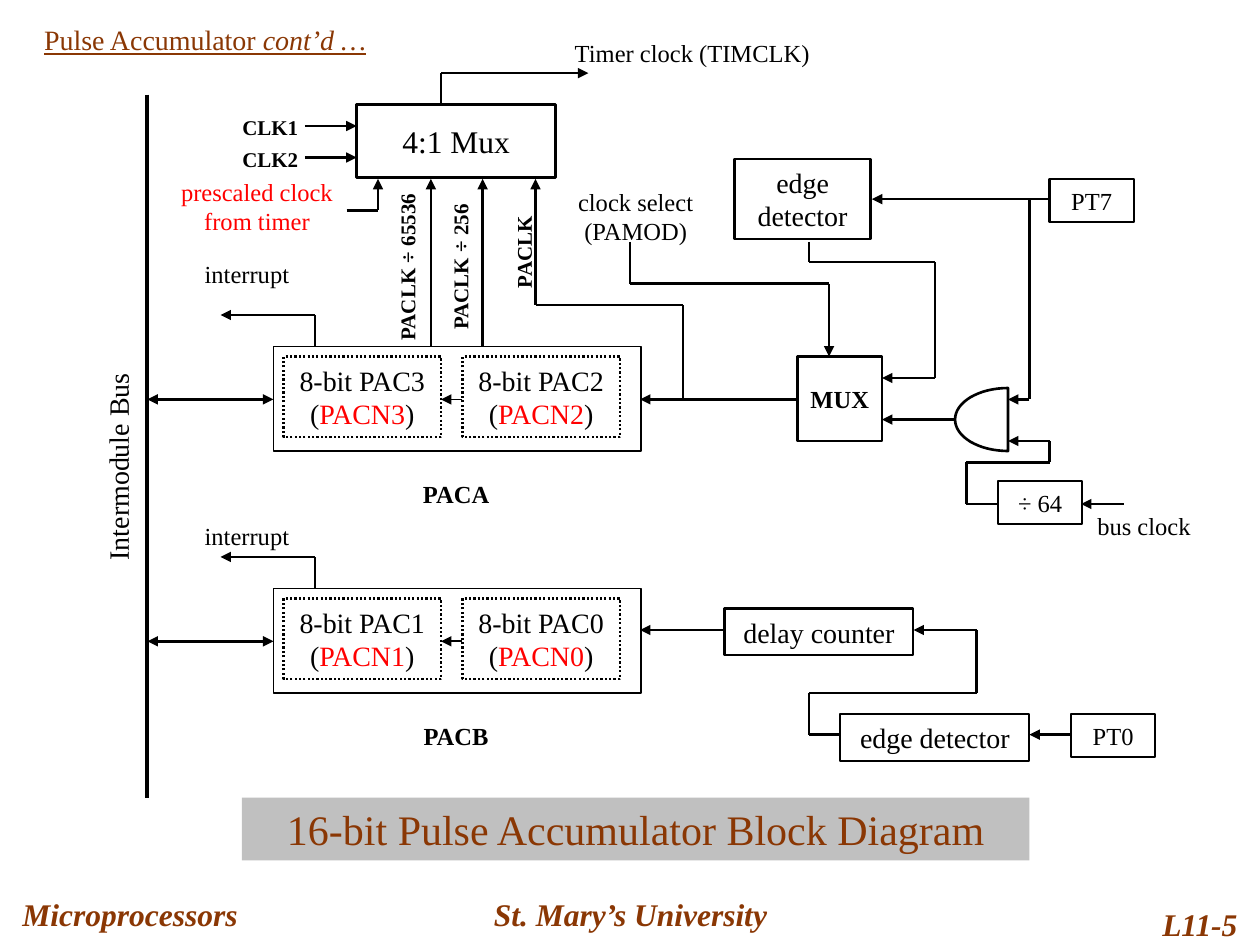
import math

import pptx
import pptx.dml.color
import pptx.enum.dml
import pptx.enum.shapes
import pptx.enum.text
import pptx.oxml.ns
import pptx.util
from lxml import etree
from pptx.util import Inches

COLORS = {"ink": "000000", "brown": "8A3704", "red": "FF0000", "grey": "C0C0C0"}
FONT = "Times New Roman"
ALIGN = pptx.enum.text.PP_ALIGN


def rgb(name):
    return pptx.dml.color.RGBColor.from_string(COLORS[name])


def write(shape, runs, size, color="ink", bold=None, italic=None,
          align=ALIGN.CENTER, wrap=True):
    """Fill a shape with one paragraph; runs is a string or (text, color) pairs."""
    frame = shape.text_frame
    frame.word_wrap = wrap
    frame.auto_size = pptx.enum.text.MSO_AUTO_SIZE.NONE
    frame.vertical_anchor = pptx.enum.text.MSO_ANCHOR.MIDDLE
    paragraph = frame.paragraphs[0]
    paragraph.alignment = align
    font = paragraph.font
    font.name, font.size = FONT, pptx.util.Pt(size)
    font.bold, font.italic = bold, italic
    font.color.rgb = rgb(color)
    if isinstance(runs, str):
        runs = [(runs, color)]
    for text, run_color in runs:
        run = paragraph.add_run()
        run.text = text
        if run_color != color:
            run.font.color.rgb = rgb(run_color)
    return paragraph


def add_label(slide, box, text, size=14, rotation=0, **style):
    shape = slide.shapes.add_textbox(*map(Inches, box))
    shape.rotation = rotation
    write(shape, text, size, **style)


def outline(shape, weight):
    shape.shadow.inherit = False
    shape.fill.background()
    shape.line.color.rgb = rgb("ink")
    shape.line.width = pptx.util.Pt(weight)


def add_block(slide, box, text="", size=14, weight=1.25, dotted=False, **style):
    shape = slide.shapes.add_shape(
        pptx.enum.shapes.MSO_SHAPE.RECTANGLE, *map(Inches, box))
    outline(shape, weight)
    if dotted:
        shape.line.dash_style = pptx.enum.dml.MSO_LINE.ROUND_DOT
    if text:
        write(shape, text, size, **style)
    return shape


def add_wire(slide, points, arrows="end", weight=1.5):
    """Draw a bent wire; arrows is "end", "both" or "none"."""
    last = len(points) - 2
    for index, (start, end) in enumerate(zip(points, points[1:])):
        line = slide.shapes.add_connector(
            pptx.enum.shapes.MSO_CONNECTOR.STRAIGHT, *map(Inches, start + end))
        line.line.color.rgb = rgb("ink")
        line.line.width = pptx.util.Pt(weight)
        line_xml = line.line._get_or_add_ln()
        if arrows == "both" and index == 0:
            etree.SubElement(line_xml, pptx.oxml.ns.qn("a:headEnd"), type="triangle")
        if arrows != "none" and index == last:
            etree.SubElement(line_xml, pptx.oxml.ns.qn("a:tailEnd"), type="triangle")
        etree.SubElement(line._element.spPr, pptx.oxml.ns.qn("a:effectLst"))


def add_gate(slide, right, middle, width, half_height):
    """Draw the AND gate: half an ellipse with a flat right side."""
    steps = 32
    points = [(Inches(right - width * math.sin(math.pi * i / steps)),
               Inches(middle - half_height * math.cos(math.pi * i / steps)))
              for i in range(steps + 1)]
    builder = slide.shapes.build_freeform(*points[0])
    builder.add_line_segments(points[1:], close=True)
    outline(builder.convert_to_shape(), 1.5)


def add_accumulator(slide, top, name, high, low):
    """Draw a pair of 8-bit counters with its bus link and interrupt output."""
    add_block(slide, (2.17, top, 2.92, 0.83), weight=1)
    for left, number in ((2.25, high), (3.67, low)):
        runs = [(f"8-bit PAC{number} (", "ink"), (f"PACN{number}", "red"), (")", "ink")]
        add_block(slide, (left, top + 0.08, 1.25, 0.64), runs, 16, dotted=True)
    add_label(slide, (3.08, top + 1, 1.08, 0.34), name, bold=True)
    middle = top + 0.42
    add_wire(slide, [(3.67, middle), (3.5, middle)], weight=1)
    add_wire(slide, [(1.17, middle), (2.17, middle)], "both")
    add_wire(slide, [(2.5, top), (2.5, top - 0.25), (1.75, top - 0.25)])


def main():
    presentation = pptx.Presentation()
    presentation.slide_width, presentation.slide_height = Inches(10), Inches(7.5)
    slide = presentation.slides.add_slide(presentation.slide_layouts[5])

    # Title
    title = slide.shapes.title
    title.left, title.top, title.width, title.height = map(
        Inches, (0.25, 0.13, 7.17, 0.37))
    paragraph = write(title, [("Pulse Accumulator ", "brown"), ("cont’d …", "brown")],
                      16, "brown", align=ALIGN.LEFT)
    paragraph.font.underline = True
    paragraph.runs[1].font.italic = True

    # Footer and caption
    for box, text, align in (
            ((0.08, 7, 2.42, 0.5), "Microprocessors", ALIGN.LEFT),
            ((3.42, 7, 3.17, 0.5), "St. Mary’s University", ALIGN.CENTER),
            ((8.67, 7.08, 1.25, 0.5), "L11-5", ALIGN.RIGHT)):
        add_label(slide, box, text, 18, color="brown", bold=True, italic=True,
                  align=align, wrap=False)
    caption = add_block(slide, (1.92, 6.33, 6.25, 0.5),
                        "16-bit Pulse Accumulator Block Diagram", 24, color="brown")
    caption.fill.solid()
    caption.fill.fore_color.rgb = rgb("grey")
    caption.line.fill.background()

    # Bus and accumulators
    add_wire(slide, [(1.17, 0.75), (1.17, 6.33)], "none", 2.25)
    add_label(slide, (0.06, 3.52, 1.75, 0.37), "Intermodule Bus", 16, 270)
    add_accumulator(slide, 2.75, "PACA", 3, 2)
    add_accumulator(slide, 4.67, "PACB", 1, 0)

    # Blocks
    for box, text, size in (
            ((5.75, 4.83, 1.5, 0.37), "delay counter", 16),
            ((6.67, 5.67, 1.5, 0.37), "edge detector", 16),
            ((5.83, 1.26, 1.08, 0.64), "edge detector", 16),
            ((8.5, 5.67, 0.67, 0.34), "PT0", 14),
            ((8.33, 1.42, 0.67, 0.34), "PT7", 14),
            ((7.92, 3.82, 0.67, 0.34), "÷ 64", 14)):
        add_block(slide, box, text, size)
    add_block(slide, (2.83, 0.83, 1.58, 0.58), "4:1 Mux", 18, 1.5)
    add_block(slide, (6.33, 2.83, 0.67, 0.67), "MUX", 14, 1.5, bold=True)
    add_gate(slide, 8, 3.33, 0.42, 0.25)

    # Wires, each ending in an arrowhead
    for points in (
            # PACB input
            [(8.5, 5.83), (8.17, 5.83)],
            [(6.67, 5.83), (6.42, 5.83), (6.42, 5.5), (7.75, 5.5), (7.75, 5), (7.25, 5)],
            [(5.75, 5), (5.08, 5)],
            # PACA input
            [(6.33, 3.17), (5.08, 3.17)],
            [(8.33, 1.58), (6.92, 1.58)],
            [(8.17, 1.58), (8.17, 3.17), (8, 3.17)],
            [(8.92, 4), (8.58, 4)],
            [(7.92, 4), (7.67, 4), (7.67, 3.67), (8.33, 3.67), (8.33, 3.5), (8, 3.5)],
            [(7.58, 3.33), (7, 3.33)],
            [(6.42, 1.92), (6.42, 2.08), (7.42, 2.08), (7.42, 3), (7, 3)],
            [(5, 1.92), (5, 2.25), (6.58, 2.25), (6.58, 2.83)],
            # 4:1 multiplexer
            [(3.5, 0.83), (3.5, 0.58), (4.67, 0.58)],
            [(5.42, 3.17), (5.42, 2.42), (4.25, 2.42), (4.25, 1.42)],
            [(3.83, 2.75), (3.83, 1.42)],
            [(3.42, 2.75), (3.42, 1.42)],
            [(2.75, 1.67), (3, 1.67), (3, 1.42)],
            [(2.42, 1), (2.83, 1)],
            [(2.42, 1.25), (2.83, 1.25)]):
        add_wire(slide, points)

    # Signal labels
    for box, text in (
            ((1.5, 2, 0.92, 0.34), "interrupt"),
            ((1.5, 4.08, 0.92, 0.34), "interrupt"),
            ((8.58, 4, 1, 0.34), "bus clock"),
            ((4.33, 0.25, 2.33, 0.34), "Timer clock (TIMCLK)"),
            ((4.42, 1.43, 1.25, 0.57), "clock select (PAMOD)")):
        add_label(slide, box, text)
    add_label(slide, (1.33, 1.35, 1.42, 0.57), "prescaled clock from timer", color="red")
    for box, text, rotation in (
            ((1.79, 0.86, 0.71, 0.3), "CLK1", 0),
            ((1.79, 1.11, 0.71, 0.3), "CLK2", 0),
            ((2.52, 1.97, 1.42, 0.3), "PACLK ÷ 65536", 270),
            ((2.94, 1.97, 1.42, 0.3), "PACLK ÷ 256", 270),
            ((3.57, 1.85, 1.17, 0.3), "PACLK", 270)):
        add_label(slide, box, text, 12, rotation, bold=True)

    presentation.save("out.pptx")


if __name__ == "__main__":
    main()
